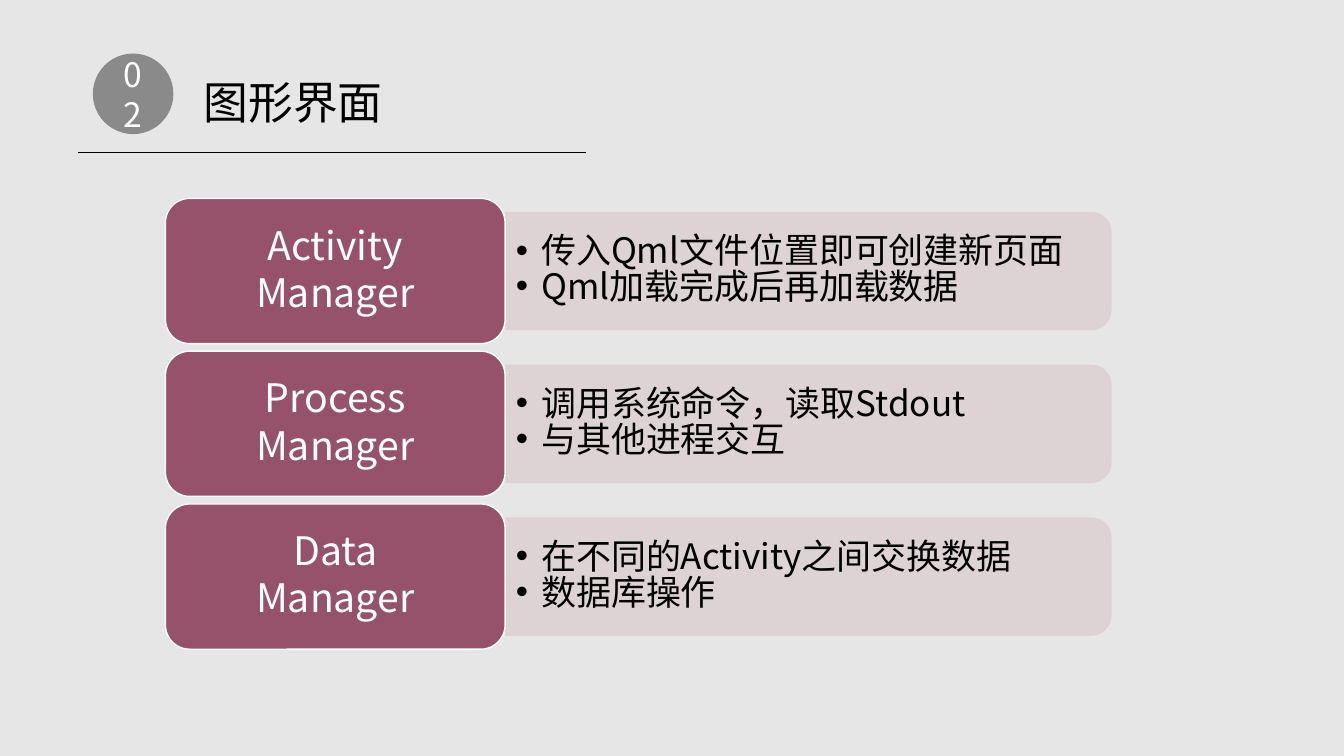
import pptx
import pptx.util
import pptx.dml.color
import pptx.enum.shapes
import pptx.enum.text
import pptx.oxml
import pptx.oxml.ns
import lxml.etree

Cm = pptx.util.Cm
Pt = pptx.util.Pt
RGBColor = pptx.dml.color.RGBColor
Form = pptx.enum.shapes.MSO_SHAPE
Align = pptx.enum.text.PP_ALIGN
qn = pptx.oxml.ns.qn

BLACK = RGBColor(0x00, 0x00, 0x00)
WHITE = RGBColor(0xFF, 0xFF, 0xFF)
GRAY = RGBColor(0xE7, 0xE6, 0xE6)
PLUM = RGBColor(0x96, 0x52, 0x6B)
PINK = RGBColor(0xDD, 0xD1, 0xD4)
FONT = "Noto Sans CJK SC"


def add_form(kind, box, fill, edge=None, alpha=None):
    form = slide.shapes.add_shape(kind, *[Cm(x) for x in box])
    form.shadow.inherit = False
    form.fill.solid()
    form.fill.fore_color.rgb = fill
    if edge is None:
        form.line.fill.background()
    else:
        form.line.color.rgb = edge
        form.line.width = Pt(1)
    if alpha:
        for tint in form.element.spPr.iter(qn("a:srgbClr")):
            lxml.etree.SubElement(tint, qn("a:alpha"), val=str(alpha * 1000))
    return form


def write(form, lines, size, color, look):
    frame = form.text_frame
    frame.vertical_anchor = pptx.enum.text.MSO_ANCHOR.MIDDLE
    for i, line in enumerate(lines):
        para = frame.paragraphs[0] if i == 0 else frame.add_paragraph()
        for name, value in look.items():
            setattr(para, name, value)
        run = para.add_run()
        run.text = line
        run.font.name = FONT
        run.font.size = Pt(size)
        run.font.color.rgb = color
        east = lxml.etree.SubElement(run.font._element, qn("a:ea"))
        east.set("typeface", FONT)


deck = pptx.Presentation()
deck.slide_width = Cm(33.87)
deck.slide_height = Cm(19.05)
slide = deck.slides.add_slide(deck.slide_layouts[6])
slide.background.fill.solid()
slide.background.fill.fore_color.rgb = GRAY

badge = add_form(Form.OVAL, (2.34, 1.35, 2.03, 2.03), BLACK, alpha=40)
write(badge, ["02"], 24, WHITE, {"alignment": Align.CENTER})

title = slide.shapes.add_textbox(Cm(4.88), Cm(1.75), Cm(5.08), Cm(1.63))
title.text_frame.word_wrap = False
title.text_frame.auto_size = pptx.enum.text.MSO_AUTO_SIZE.SHAPE_TO_FIT_TEXT
write(title, ["图形界面"], 32, BLACK, {"alignment": Align.LEFT})

rule = slide.shapes.add_connector(
    pptx.enum.shapes.MSO_CONNECTOR.STRAIGHT, Cm(1.96), Cm(3.84), Cm(14.76), Cm(3.84))
rule.line.color.rgb = BLACK
rule.line.width = Pt(1)
lxml.etree.SubElement(rule.element.spPr, qn("a:effectLst"))

rows = [
    ("Activity", ["传入Qml文件位置即可创建新页面", "Qml加载完成后再加载数据"]),
    ("Process", ["调用系统命令，读取Stdout", "与其他进程交互"]),
    ("Data", ["在不同的Activity之间交换数据", "数据库操作"]),
]
head_look = {"alignment": Align.CENTER, "line_spacing": 0.9, "space_after": Pt(3.5)}
item_look = {"alignment": Align.LEFT, "level": 1, "line_spacing": 0.85, "space_after": Pt(0)}

for i, (name, items) in enumerate(rows):
    top = 5 + i * 3.85
    panel = add_form(Form.ROUND_2_SAME_RECTANGLE, (18.9, top - 5.79, 2.95, 15.24), PINK, PINK, 90)
    panel.rotation = 90

    body = slide.shapes.add_textbox(Cm(12.75), Cm(top + 0.51), Cm(15.09), Cm(2.64))
    body.text_frame.word_wrap = True
    write(body, items, 25, BLACK, item_look)
    for para in body.text_frame.paragraphs:
        props = para._p.get_or_add_pPr()
        props.set("marL", str(Cm(0.64)))
        props.set("indent", str(Cm(-0.64)))
        lxml.etree.SubElement(props, qn("a:buFont"), typeface="Arial")
        lxml.etree.SubElement(props, qn("a:buChar"), char="•")

    head = add_form(Form.ROUNDED_RECTANGLE, (4.17, top, 8.56, 3.66), PLUM, WHITE)
    write(head, [name, "Manager"], 28, WHITE, head_look)

deck.save("out.pptx")
